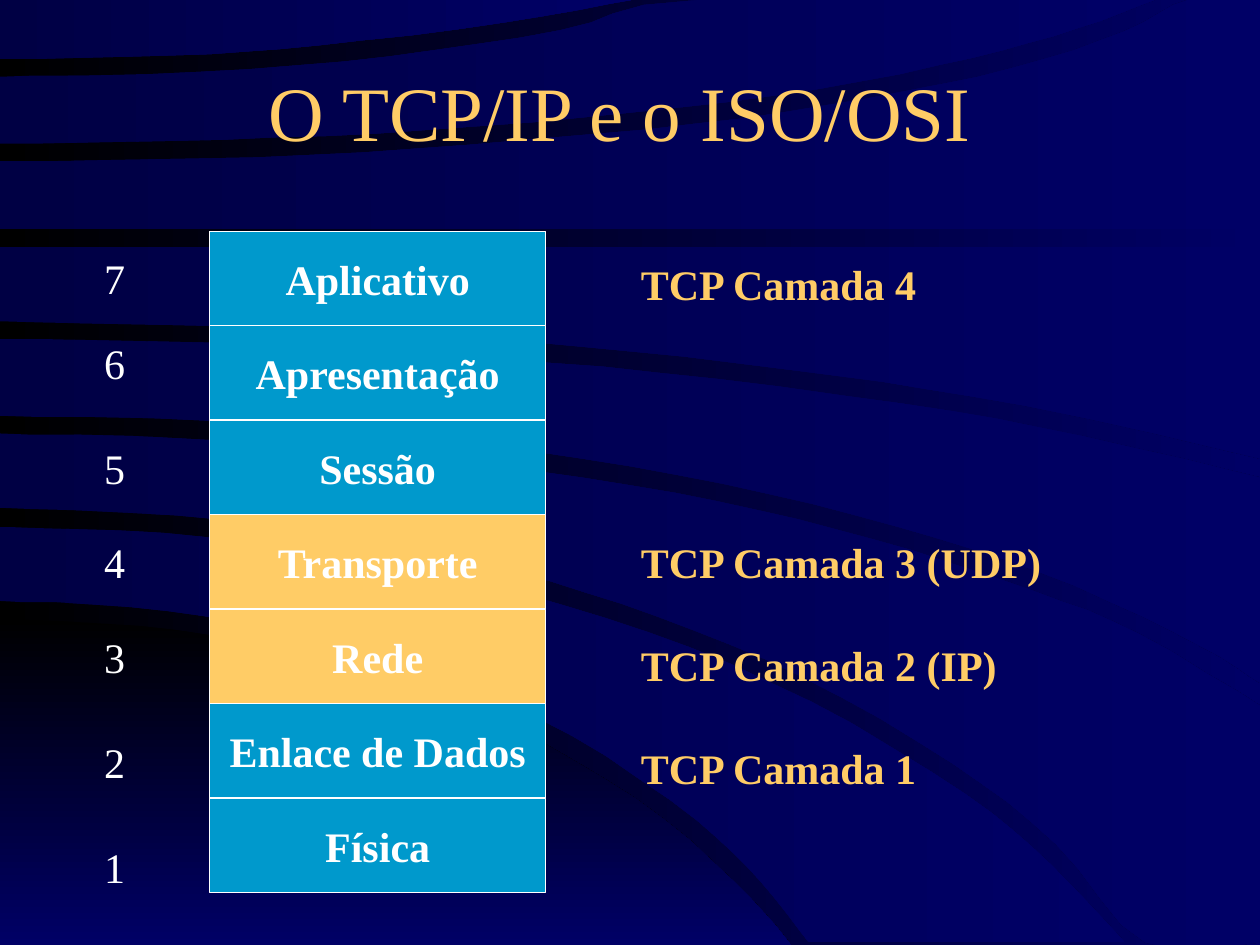
from lxml import etree
from pptx import Presentation
from pptx import util as u
from pptx.dml.color import RGBColor
from pptx.enum import shapes, text

FONT = "Times New Roman"
COLORS = {
    "black": "000000",
    "navy": "000066",
    "dark": "000044",
    "blue": "0099CC",
    "gold": "FFCC66",
    "white": "FFFFFF",
}
WIDTH, HEIGHT = 25.4, 19.05
LAYER_LEFT, LAYER_TOP, LAYER_WIDTH = 4.23, 4.66, 6.77
LAYER_HEIGHT = HEIGHT / 10
LABEL_HEIGHT = 1.27
UNITS_PER_INCH = 100

# Layer name, its colour, and the top of its number in cm
LAYERS = [
    ("Aplicativo", "blue", 4.97),
    ("Apresentação", "blue", 6.67),
    ("Sessão", "blue", 8.79),
    ("Transporte", "gold", 10.69),
    ("Rede", "gold", 12.6),
    ("Enlace de Dados", "blue", 14.72),
    ("Física", "blue", 16.84),
]

# Background bands: upper and lower edge, both left to right, in inches
FLOOR = (
    [(0, 4.91), (1.12, 4.97), (2.18, 5.14), (3.27, 5.44), (4.25, 5.86),
     (5.28, 6.51), (5.96, 7.13), (6.28, 7.5)],
    [(0, 7.5), (6.28, 7.5)],
)
BANDS = [
    ([(0, 4.18), (1.3, 4.23), (2.49, 4.37), (3.82, 4.63), (5.15, 5.02),
      (6.44, 5.57), (7.66, 6.3), (8.33, 6.85), (8.93, 7.48)],
     [(0, 4.77), (1.05, 4.82), (2.21, 5), (3.42, 5.35), (4.54, 5.84),
      (5.53, 6.51), (6.04, 7), (6.42, 7.48)]),
    ([(0, 3.44), (1.44, 3.48), (2.89, 3.58), (4.26, 3.74), (5.7, 3.98),
      (6.93, 4.28), (8.18, 4.68), (9.04, 5.03), (10, 5.6)],
     [(0, 4.03), (1.4, 4.09), (2.67, 4.25), (4.05, 4.53), (5.21, 4.89),
      (6.36, 5.37), (7.56, 6.06), (8.38, 6.7), (9.09, 7.48), (10, 7.48)]),
    ([(0, 2.69), (1.68, 2.72), (3.49, 2.81), (5.23, 2.96), (7.14, 3.2),
      (8.59, 3.46), (10, 3.79)],
     [(0, 3.3), (1.67, 3.34), (3.03, 3.45), (4.62, 3.64), (6.1, 3.92),
      (7.43, 4.27), (8.53, 4.65), (9.51, 5.12), (10, 5.42)]),
    ([(0, 1.96), (10, 1.96)],
     [(0, 2.55), (1.86, 2.59), (3.32, 2.65), (5.02, 2.79), (6.62, 2.98),
      (8.13, 3.22), (10, 3.64)]),
    ([(0, 1.28), (2.03, 1.25), (3.72, 1.15), (5.54, 0.98), (6.84, 0.79),
      (8.03, 0.54), (8.92, 0.25), (9.43, 0), (10, 0)],
     [(0, 1.82), (10, 1.82)]),
    ([(0, 0.61), (1.6, 0.57), (3.08, 0.45), (4.45, 0.24), (5.56, 0), (9.17, 0)],
     [(0, 1.14), (1.77, 1.11), (3.41, 1.03), (5.04, 0.89), (6.48, 0.71),
      (7.72, 0.46), (8.54, 0.23), (9.17, 0)]),
    ([(0, 0), (5.01, 0)],
     [(0, 0.47), (1.37, 0.44), (2.53, 0.36), (3.99, 0.18), (5.01, 0)]),
]


def rgb(name):
    return RGBColor.from_string(COLORS[name])


def fill_gradient(fill, start, end, angle=0):
    fill.gradient()
    fill.gradient_angle = angle
    for stop, name in zip(fill.gradient_stops, (start, end)):
        stop.color.rgb = rgb(name)


def smooth(points, steps=4):
    """Catmull-Rom curve through the points; two points stay a line."""
    if len(points) == 2:
        return points
    padded = [points[0], *points, points[-1]]
    curve = []
    for a, b, c, d in zip(padded, padded[1:], padded[2:], padded[3:]):
        for t in (step / steps for step in range(steps)):
            curve.append(tuple(
                (2 * q + (r - p) * t + (2 * p - 5 * q + 4 * r - s) * t ** 2
                 + (3 * q - p - 3 * r + s) * t ** 3) / 2
                for p, q, r, s in zip(a, b, c, d)))
    return curve + [points[-1]]


def add_band(slide, edges, start, angle=0):
    upper, lower = edges
    outline = [(x * UNITS_PER_INCH, y * UNITS_PER_INCH)
               for x, y in smooth(upper) + smooth(lower)[::-1]]
    builder = slide.shapes.build_freeform(
        *outline[0], scale=u.Cm(2.54) / UNITS_PER_INCH)
    builder.add_line_segments(outline[1:], close=True)
    shape = builder.convert_to_shape()
    shape.shadow.inherit = False
    fill_gradient(shape.fill, start, "navy", angle)
    shape.line.fill.background()


def write(shape, lines, color, size=24, bold=False, centered=False, gap=0):
    frame = shape.text_frame
    frame.text = "\n".join(lines)
    frame.word_wrap = False
    for index, paragraph in enumerate(frame.paragraphs):
        paragraph.alignment = text.PP_ALIGN.CENTER if centered else text.PP_ALIGN.LEFT
        if index:
            paragraph.space_before = u.Pt(gap)
        for run in paragraph.runs:
            run.font.name = FONT
            run.font.size = u.Pt(size)
            run.font.bold = bold
            run.font.color.rgb = rgb(color)
    if centered:
        frame.vertical_anchor = text.MSO_ANCHOR.MIDDLE


def add_label(slide, box, lines, color, **style):
    label = slide.shapes.add_textbox(*(u.Cm(length) for length in box))
    write(label, lines, color, **style)


def add_layer(slide, index, name, color):
    shape = slide.shapes.add_shape(
        shapes.MSO_SHAPE.RECTANGLE,
        u.Cm(LAYER_LEFT), u.Cm(LAYER_TOP + index * LAYER_HEIGHT),
        u.Cm(LAYER_WIDTH), u.Cm(LAYER_HEIGHT))
    shape.shadow.inherit = False
    shape.fill.solid()
    shape.fill.fore_color.rgb = rgb(color)
    shape.line.color.rgb = rgb("white")
    shape.line.width = u.Pt(0.75)
    write(shape, [name], "white", bold=True, centered=True)


def main():
    presentation = Presentation()
    presentation.slide_width, presentation.slide_height = u.Cm(WIDTH), u.Cm(HEIGHT)
    slide = presentation.slides.add_slide(presentation.slide_layouts[6])

    # Background
    fill_gradient(slide.background.fill, "black", "navy")
    add_band(slide, FLOOR, "black", angle=270)
    for edges in BANDS:
        add_band(slide, edges, "dark")

    # Title
    add_label(slide, (1.7, 0.64, 21.59, 3.18), ["O TCP/IP e o ISO/OSI"],
              "gold", size=44, centered=True)

    # OSI layers with their numbers
    for index, (name, color, number_top) in enumerate(LAYERS):
        add_layer(slide, index, name, color)
        add_label(slide, (1.85, number_top, 0.91, LABEL_HEIGHT),
                  [str(len(LAYERS) - index)], "white")

    # TCP layers
    add_label(slide, (12.67, 10.69, 8.61, 5.33),
              ["TCP Camada 3 (UDP)", "TCP Camada 2 (IP)", "TCP Camada 1"],
              "gold", bold=True, gap=30)
    add_label(slide, (12.67, 5.08, 6.1, LABEL_HEIGHT), ["TCP Camada 4"],
              "gold", bold=True)

    presentation.save("out.pptx")


if __name__ == "__main__":
    main()
